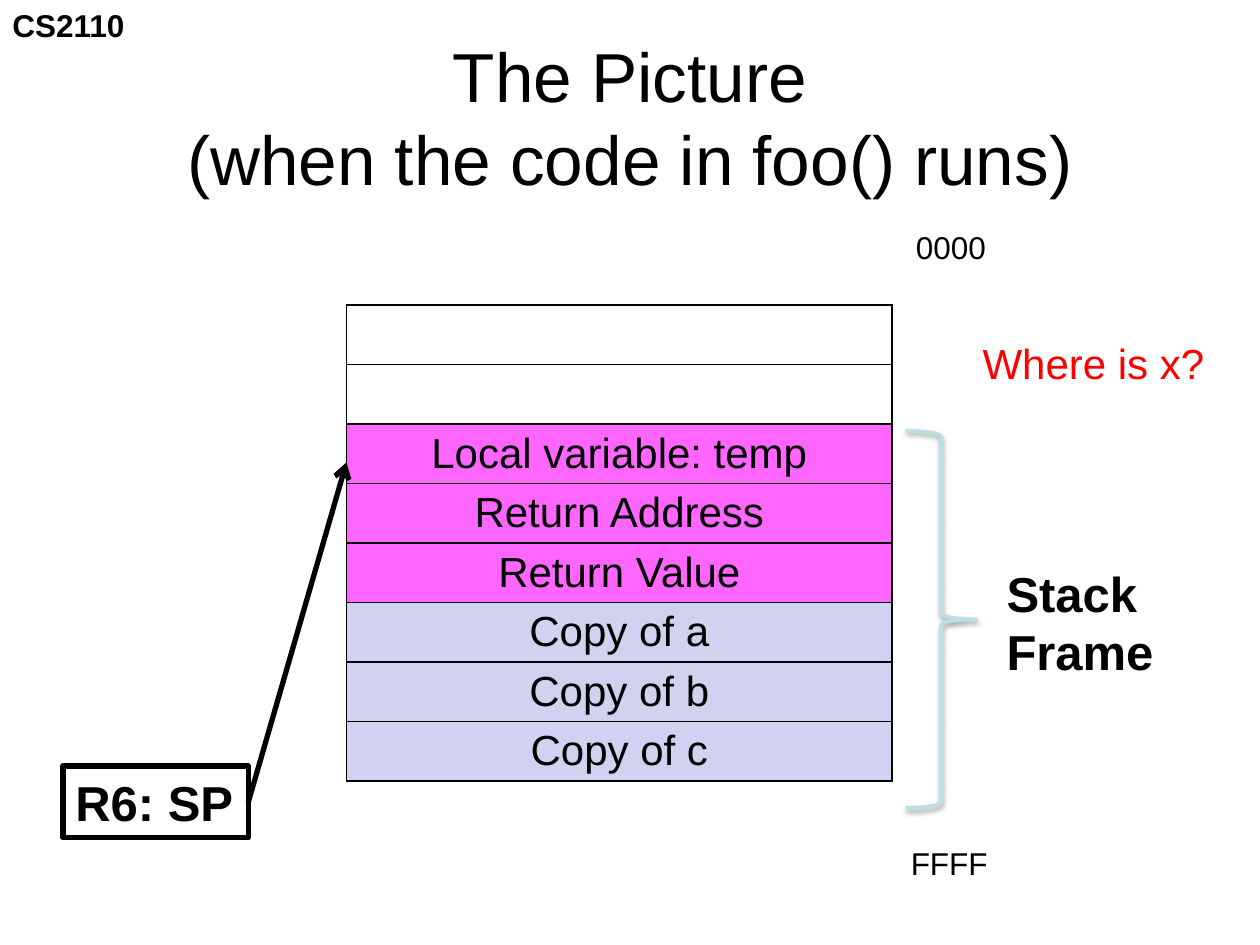
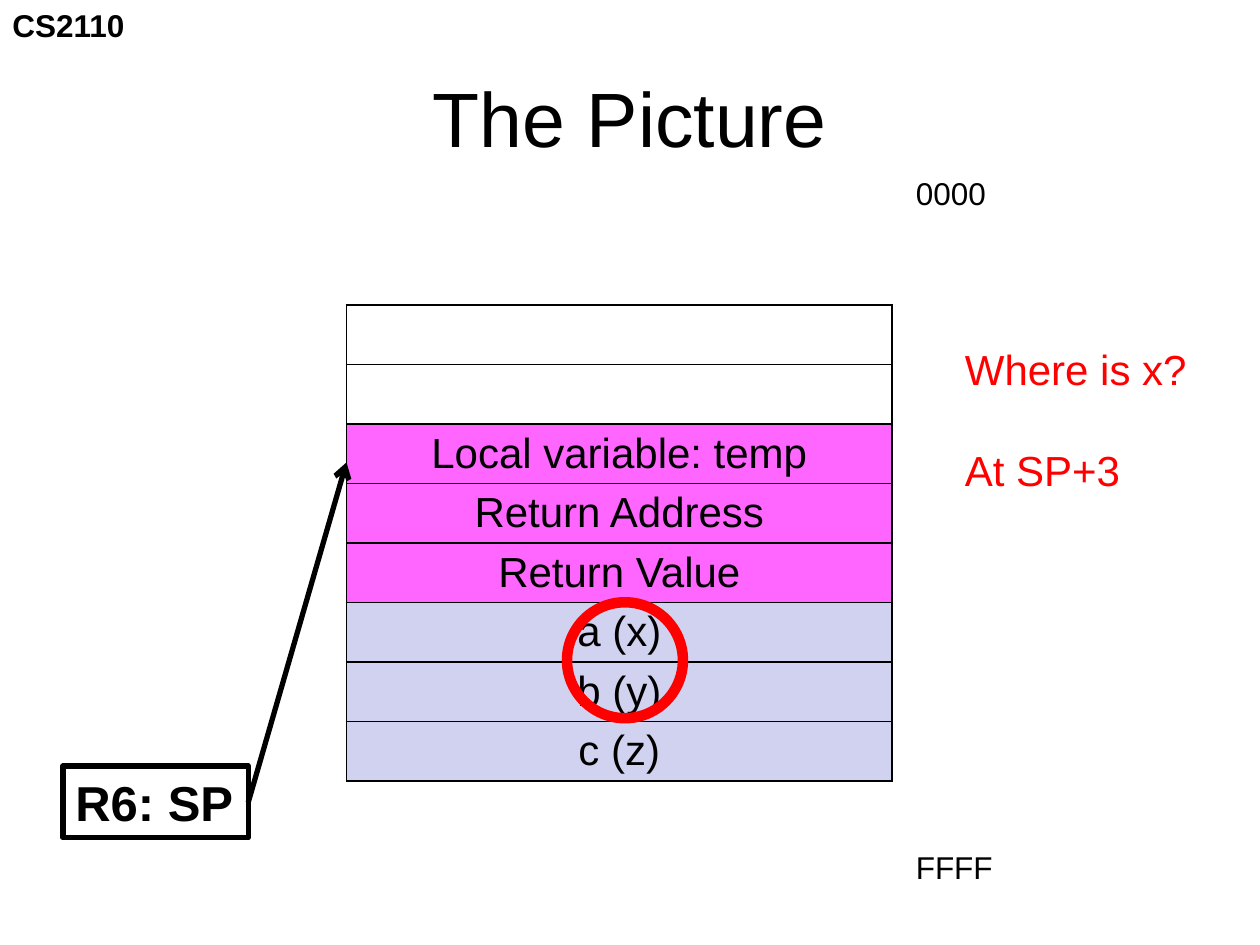
from lxml.etree import SubElement
from pptx import Presentation
from pptx.dml.color import RGBColor
from pptx.enum.shapes import MSO_CONNECTOR, MSO_SHAPE
from pptx.enum.text import MSO_ANCHOR, MSO_AUTO_SIZE, PP_ALIGN
from pptx.oxml.ns import qn
from pptx.util import Inches, Pt

BLACK = RGBColor(0, 0, 0)
RED = RGBColor(0xFF, 0, 0)
PINK = RGBColor(0xFF, 0x66, 0xFF)
LAVENDER = RGBColor(0xD1, 0xD1, 0xF0)
TEAL = RGBColor(0xBB, 0xE0, 0xE3)
FONT = "Arial"

COURSE = "CS2110"
POINTER = "R6: SP"
FREE_ROWS = [("", None)] * 2
CALLEE_ROWS = [(text, PINK) for text in
               ("Local variable: temp", "Return Address", "Return Value")]
TABLE_LEFT, TABLE_TOP, TABLE_WIDTH, TABLE_HEIGHT = 2.75, 2.42, 4.33, 3.78

SLIDES = [
    {
        "title": ["The Picture", "(when the code in foo() runs)"],
        "title_size": 39.6,
        "arguments": ["Copy of a", "Copy of b", "Copy of c"],
        "labels": [
            (["0000"], (7.17, 1.76, 0.76, 0.4), 18, BLACK, False),
            (["FFFF"], (7.13, 6.65, 0.82, 0.4), 18, BLACK, False),
            (["Stack", "Frame"], (7.89, 4.42, 1.38, 1.04), 28, BLACK, True),
            (["Where is x?"], (7.7, 2.63, 2.11, 0.5), 24, RED, False),
        ],
        "brace": (7.19, 3.42, 0.56, 2.99),
    },
    {
        "title": ["The Picture"],
        "title_size": 44,
        "arguments": ["a (x)", "b (y)", "c (z)"],
        "labels": [
            (["0000"], (7.17, 1.33, 0.76, 0.4), 18, BLACK, False),
            (["FFFF"], (7.17, 6.68, 0.82, 0.4), 18, BLACK, False),
            (["Where is x?", "At SP+3"], (7.56, 2.68, 1.98, 1.31), 24, RED, False),
        ],
        "label_gap": 28.8,
        "circle": (4.5, 4.78, 0.92, 0.92),
    },
]


def inches(box):
    return [Inches(v) for v in box]


def add_run(p, text, size, color=BLACK, bold=False):
    r = p.add_run()
    r.text = text
    r.font.name = FONT
    r.font.size = Pt(size)
    r.font.bold = bold
    r.font.color.rgb = color


def fill_text(sp, lines, size, color=BLACK, bold=False, gap=0):
    tf = sp.text_frame
    tf.word_wrap = False
    tf.auto_size = MSO_AUTO_SIZE.SHAPE_TO_FIT_TEXT
    tf.vertical_anchor = MSO_ANCHOR.TOP
    for i, line in enumerate(lines):
        p = tf.add_paragraph() if i else tf.paragraphs[0]
        p.alignment = PP_ALIGN.LEFT
        if i and gap:
            p.space_before = Pt(gap)
        add_run(p, line, size, color, bold)


def add_label(s, lines, box, size, color, bold, gap=0):
    fill_text(s.shapes.add_textbox(*inches(box)), lines, size, color, bold, gap)


def add_outline(s, kind, box, color, width):
    sp = s.shapes.add_shape(kind, *inches(box))
    sp.shadow.inherit = False
    sp.fill.background()
    sp.line.color.rgb = color
    sp.line.width = Pt(width)
    return sp


def set_title(s, lines, size):
    title = s.shapes.title
    title.left, title.top, title.width, title.height = inches((0.5, 0.3, 9, 1.25))
    tf = title.text_frame
    tf.word_wrap = True
    tf.auto_size = MSO_AUTO_SIZE.NONE
    tf.vertical_anchor = MSO_ANCHOR.MIDDLE
    p = tf.paragraphs[0]
    p.alignment = PP_ALIGN.CENTER
    for i, line in enumerate(lines):
        if i:
            p.add_line_break()
        add_run(p, line, size)


def set_borders(cell):
    tcPr = cell._tc.get_or_add_tcPr()
    for i, side in enumerate(("lnL", "lnR", "lnT", "lnB")):
        ln = SubElement(tcPr, qn(f"a:{side}"), w=str(Pt(1)))
        fill = SubElement(ln, qn("a:solidFill"))
        SubElement(fill, qn("a:srgbClr"), val=str(BLACK))
        tcPr.insert(i, ln)


def add_stack(s, rows):
    box = (TABLE_LEFT, TABLE_TOP, TABLE_WIDTH, TABLE_HEIGHT)
    table = s.shapes.add_table(len(rows), 1, *inches(box)).table
    table.first_row = table.horz_banding = False
    for i, (text, color) in enumerate(rows):
        table.rows[i].height = Inches(TABLE_HEIGHT / len(rows))
        cell = table.cell(i, 0)
        cell.margin_top = cell.margin_bottom = Inches(0.03)
        cell.vertical_anchor = MSO_ANCHOR.MIDDLE
        if color:
            cell.fill.solid()
            cell.fill.fore_color.rgb = color
        else:
            cell.fill.background()
        if text:
            p = cell.text_frame.paragraphs[0]
            p.alignment = PP_ALIGN.CENTER
            add_run(p, text, 24)
        set_borders(cell)


def add_pointer(s):
    sp = add_outline(s, MSO_SHAPE.RECTANGLE, (0.5, 6.08, 1.47, 0.57), BLACK, 3)
    fill_text(sp, [POINTER], 28, bold=True)
    arrow = s.shapes.add_connector(MSO_CONNECTOR.STRAIGHT,
                                   *inches((1.97, 6.37, TABLE_LEFT, 3.67)))
    arrow.line.color.rgb = BLACK
    arrow.line.width = Pt(3)
    SubElement(arrow.line._get_or_add_ln(), qn("a:tailEnd"), type="arrow")
    SubElement(arrow._element.spPr, qn("a:effectLst"))


def add_brace(s, box):
    sp = add_outline(s, MSO_SHAPE.RIGHT_BRACE, box, TEAL, 2)
    effects = sp._element.spPr.find(qn("a:effectLst"))
    shadow = SubElement(effects, qn("a:outerShdw"), blurRad=str(Pt(3.1)),
                        dist=str(Pt(1.6)), dir="5400000", rotWithShape="0")
    color = SubElement(shadow, qn("a:srgbClr"), val=str(BLACK))
    SubElement(color, qn("a:alpha"), val="38000")


def build_slide(prs, content):
    s = prs.slides.add_slide(prs.slide_layouts[5])
    add_label(s, [COURSE], (0, 0, 1.1, 0.4), 18, BLACK, True)
    set_title(s, content["title"], content["title_size"])
    arguments = [(text, LAVENDER) for text in content["arguments"]]
    add_stack(s, FREE_ROWS + CALLEE_ROWS + arguments)
    add_pointer(s)
    for label in content["labels"]:
        add_label(s, *label, gap=content.get("label_gap", 0))
    if "brace" in content:
        add_brace(s, content["brace"])
    if "circle" in content:
        add_outline(s, MSO_SHAPE.OVAL, content["circle"], RED, 6)


def main():
    prs = Presentation()
    prs.slide_width, prs.slide_height = Inches(10), Inches(7.5)
    for content in SLIDES:
        build_slide(prs, content)
    prs.save("out.pptx")


if __name__ == "__main__":
    main()
